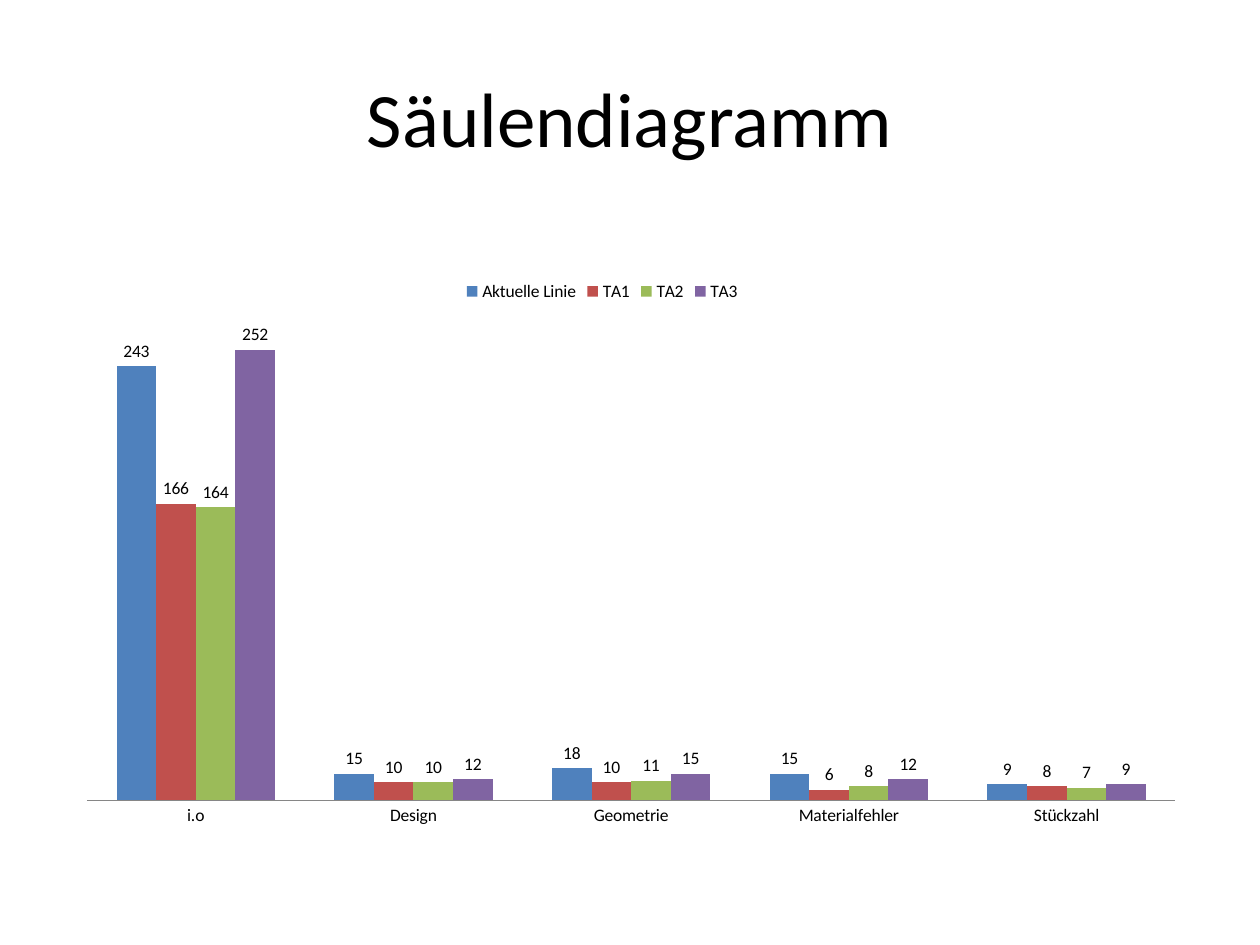
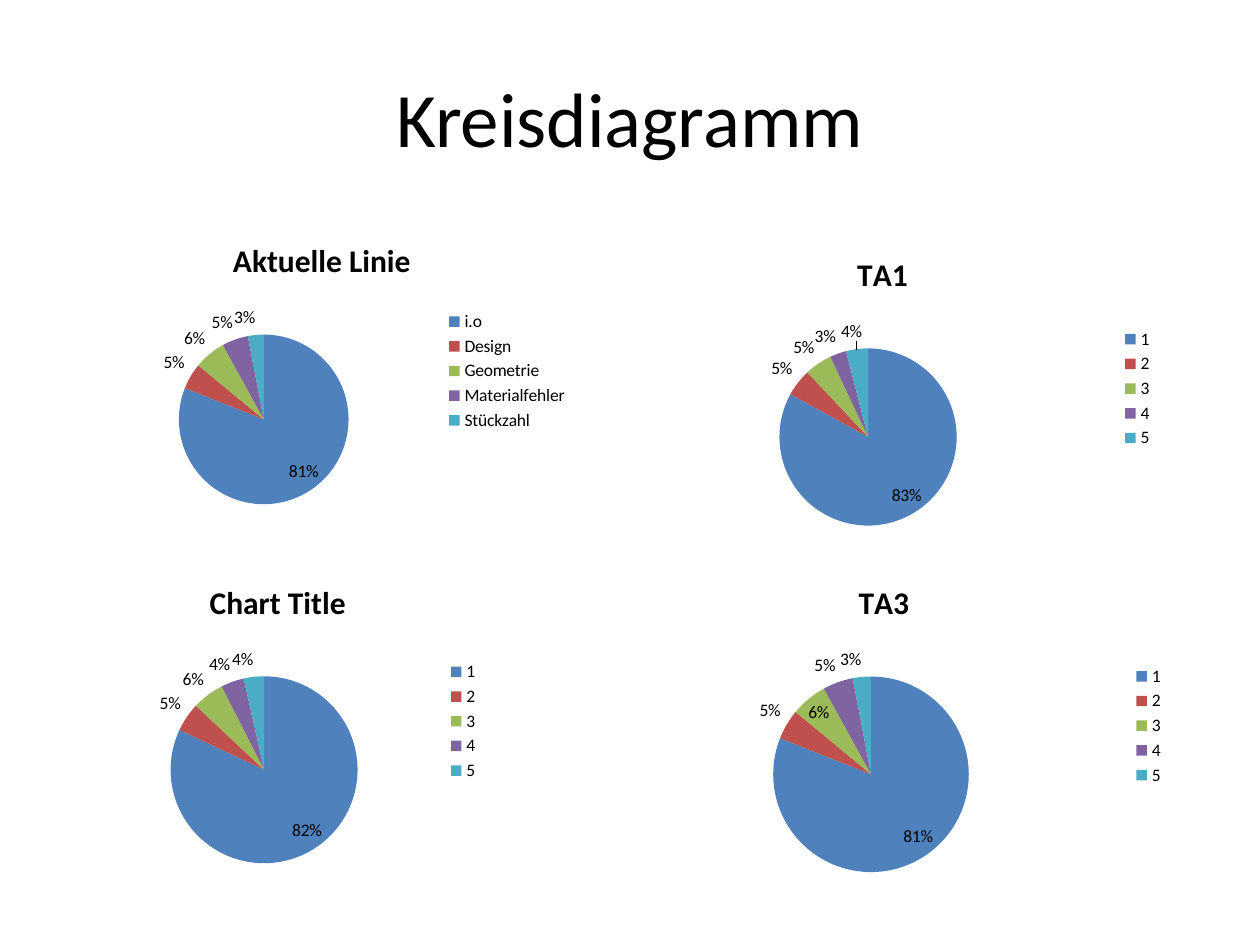
import dataclasses

import pptx
import pptx.chart.data
import pptx.dml.color
import pptx.enum.chart
import pptx.enum.text
import pptx.oxml
import pptx.oxml.ns
import pptx.util

Inches = pptx.util.Inches
Position = pptx.enum.chart.XL_LABEL_POSITION
LegendPosition = pptx.enum.chart.XL_LEGEND_POSITION
ChartType = pptx.enum.chart.XL_CHART_TYPE


@dataclasses.dataclass(frozen=True)
class Theme:
    """Colours, font and type sizes shared by both slides."""

    font: str = "Calibri"
    text: str = "000000"
    axis: str = "868686"
    palette: tuple = ("4F81BD", "C0504D", "9BBB59", "8064A2", "4BACC6")
    title_size: int = 44
    chart_title_size: int = 18
    chart_size: int = 10


THEME = Theme()
DEFECTS = ("i.o", "Design", "Geometrie", "Materialfehler", "Stückzahl")
NUMBERS = ("1", "2", "3", "4", "5")
PARTS = {
    "Aktuelle Linie": (243, 15, 18, 15, 9),
    "TA1": (166, 10, 10, 6, 8),
    "TA2": (164, 10, 11, 8, 7),
    "TA3": (252, 12, 15, 12, 9),
}
PIES = (
    ("Aktuelle Linie", DEFECTS, (81, 5, 6, 5, 3), (0.5, 1.75, 4.11, 2.39)),
    ("TA1", NUMBERS, (83, 5, 5, 3, 4), (4.76, 1.86, 4.49, 2.45)),
    ("Chart Title", NUMBERS, (82, 5, 5.5, 4, 3.5), (0.51, 4.46, 3.39, 2.53)),
    ("TA3", NUMBERS, (81, 5, 6, 5, 3), (4.69, 4.46, 4.65, 2.6)),
)


def rgb(colour):
    """Turn a hex string into a colour."""
    return pptx.dml.color.RGBColor.from_string(colour)


def style_font(font, size, bold=False):
    """Apply the shared typeface and text colour."""
    font.name = THEME.font
    font.size = pptx.util.Pt(size)
    font.bold = bold
    font.color.rgb = rgb(THEME.text)


def paint(part, colour):
    """Fill a series or a point with one colour."""
    part.format.fill.solid()
    part.format.fill.fore_color.rgb = rgb(colour)


def add_titled_slide(presentation, title):
    """Add a slide with a centred title."""
    slide = presentation.slides.add_slide(presentation.slide_layouts[5])
    shape = slide.shapes.title
    shape.left, shape.top = Inches(0.5), Inches(0.3)
    shape.width, shape.height = Inches(9), Inches(1.25)
    shape.text_frame.vertical_anchor = pptx.enum.text.MSO_ANCHOR.MIDDLE
    paragraph = shape.text_frame.paragraphs[0]
    paragraph.alignment = pptx.enum.text.PP_ALIGN.CENTER
    run = paragraph.add_run()
    run.text = title
    style_font(run.font, THEME.title_size)
    return slide


def add_chart(slide, kind, box, categories, series, legend_position):
    """Add a chart with the shared font and a legend."""
    data = pptx.chart.data.CategoryChartData()
    data.categories = categories
    for name, values in series.items():
        data.add_series(name, values)
    chart = slide.shapes.add_chart(kind, *map(Inches, box), data).chart
    style_font(chart.font, THEME.chart_size)
    chart.has_legend = True
    chart.legend.position = legend_position
    chart.legend.include_in_layout = False
    return chart


def place(element, left, top, width=None, height=None, inner=False):
    """Fix a plot area or legend at fractions of the chart size."""
    for layout in element.findall(pptx.oxml.ns.qn("c:layout")):
        element.remove(layout)
    settings = {"layoutTarget": "inner"} if inner else {}
    settings.update(xMode="edge", yMode="edge", x=left, y=top)
    if width:
        settings.update(w=width, h=height)
    children = "".join(f'<c:{tag} val="{value}"/>' for tag, value in settings.items())
    layout = pptx.oxml.parse_xml(
        f'<c:layout {pptx.oxml.ns.nsdecls("c")}>'
        f"<c:manualLayout>{children}</c:manualLayout></c:layout>"
    )
    position = element.find(pptx.oxml.ns.qn("c:legendPos"))
    if position is None:
        element.insert(0, layout)
    else:
        position.addnext(layout)


def add_column_chart(slide):
    """Add the clustered columns that compare all lines."""
    chart = add_chart(slide, ChartType.COLUMN_CLUSTERED, (0.51, 1.7, 9, 4.95),
                      DEFECTS, PARTS, LegendPosition.TOP)
    chart.has_title = False
    plot = chart.plots[0]
    plot.vary_by_categories = False
    plot.gap_width = 150
    plot.overlap = 0
    plot.has_data_labels = True
    plot.data_labels.show_value = True
    plot.data_labels.position = Position.OUTSIDE_END
    for series, colour in zip(plot.series, THEME.palette):
        paint(series, colour)
        series.invert_if_negative = False
    chart.value_axis.visible = False
    chart.value_axis.has_major_gridlines = False
    chart.value_axis.minimum_scale = 0
    chart.value_axis.maximum_scale = 300
    chart.category_axis.major_tick_mark = pptx.enum.chart.XL_TICK_MARK.NONE
    chart.category_axis.format.line.color.rgb = rgb(THEME.axis)
    place(chart._chartSpace.chart.plotArea, 0.02, 0.08, 0.96, 0.86, inner=True)
    place(chart.legend._element, 0.35, 0.1)


def add_pie_chart(slide, title, categories, shares, box):
    """Add one pie with percentages and a heading."""
    chart = add_chart(slide, ChartType.PIE, box, categories, {title: shares},
                      LegendPosition.RIGHT)
    chart.has_title = True
    run = chart.chart_title.text_frame.paragraphs[0].add_run()
    run.text = title
    style_font(run.font, THEME.chart_title_size, bold=True)
    chart.chart_title.include_in_layout = False
    plot = chart.plots[0]
    plot.vary_by_categories = True
    plot.has_data_labels = True
    labels = plot.data_labels
    labels.show_value = False
    labels.show_percentage = True
    labels.number_format = "0%"
    labels.number_format_is_linked = False
    labels.position = Position.BEST_FIT
    for index, colour in enumerate(THEME.palette):
        paint(plot.series[0].points[index], colour)


def main():
    """Build and save the presentation."""
    presentation = pptx.Presentation()
    presentation.slide_width, presentation.slide_height = Inches(10), Inches(7.5)
    add_column_chart(add_titled_slide(presentation, "Säulendiagramm"))
    pie_slide = add_titled_slide(presentation, "Kreisdiagramm")
    for pie in PIES:
        add_pie_chart(pie_slide, *pie)
    presentation.save("out.pptx")


if __name__ == "__main__":
    main()
